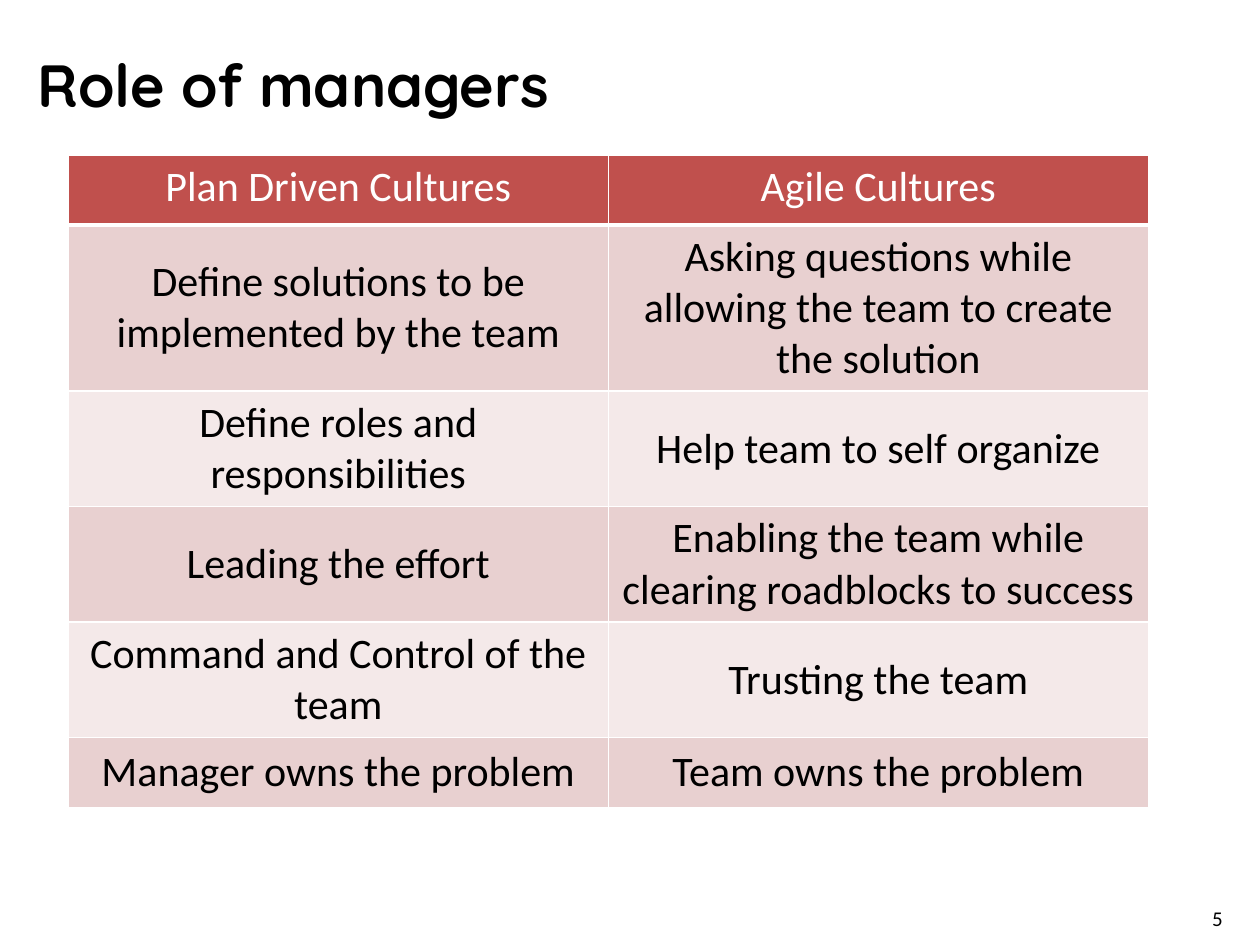
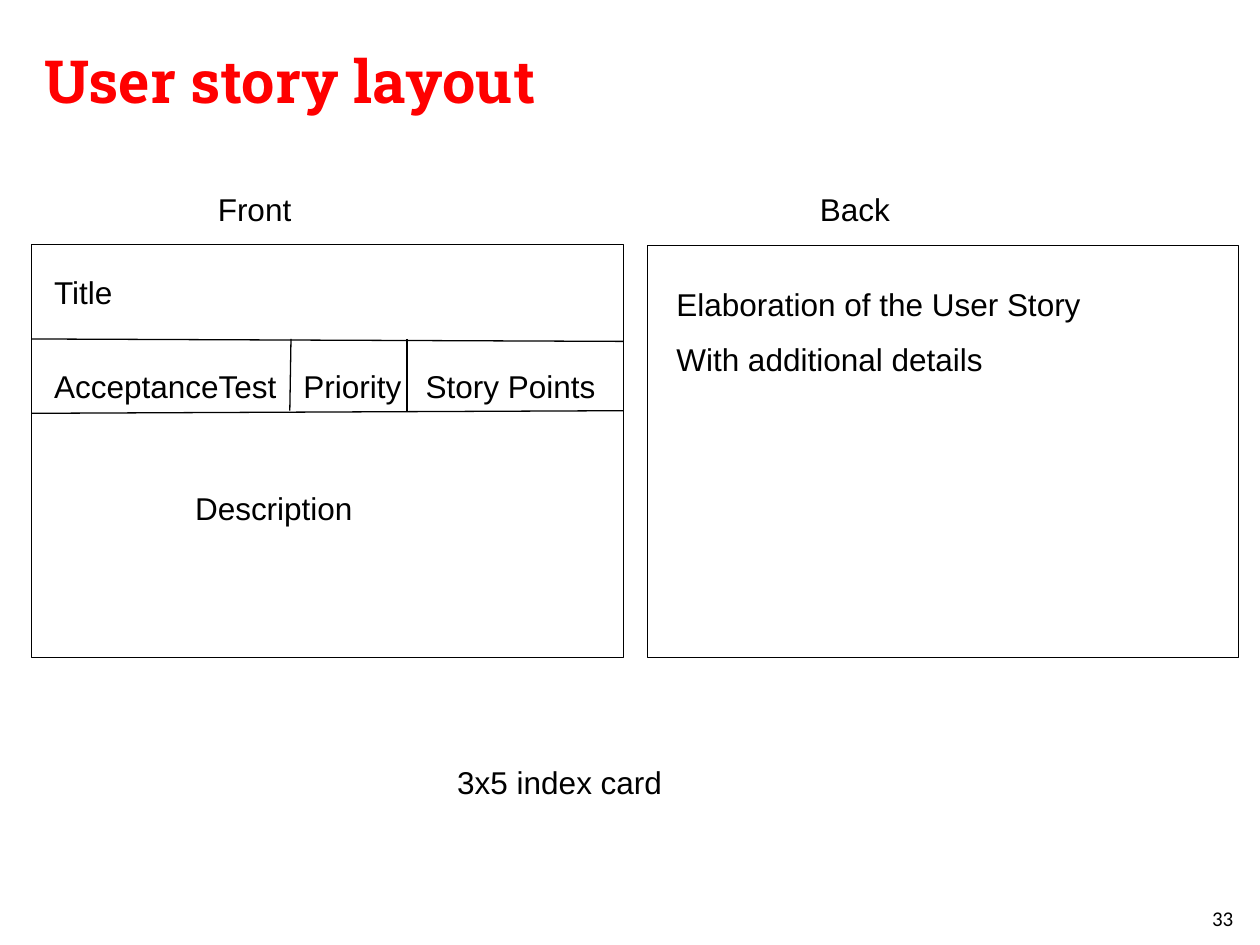
"""Build two slides: a comparison table of manager roles and a user story card."""
from lxml.etree import SubElement
from pptx import Presentation
from pptx.dml.color import RGBColor
from pptx.enum.shapes import MSO_CONNECTOR, MSO_SHAPE
from pptx.enum.text import MSO_ANCHOR, MSO_AUTO_SIZE, PP_ALIGN
from pptx.oxml.ns import qn
from pptx.util import Pt

BLACK, WHITE, RED = "000000", "FFFFFF", "FF0000"
HEADER_FILL, ODD_FILL, EVEN_FILL = "C0504D", "E8D0D0", "F4E9E9"
TITLE_ONLY = 5


def color(value):
    return RGBColor.from_string(value)


def write(frame, text, font="Arial", size=18, ink=BLACK, bold=False,
          align=PP_ALIGN.LEFT, gap=0):
    for index, line in enumerate(text.split("\n")):
        para = frame.paragraphs[0] if index == 0 else frame.add_paragraph()
        para.alignment = align
        para.space_before = Pt(gap if index else 0)
        span = para.add_run()
        span.text = line
        span.font.name = font
        span.font.size = Pt(size)
        span.font.bold = bold
        span.font.color.rgb = color(ink)


def add_border(cell, side, width):
    properties = cell._tc.get_or_add_tcPr()
    border = SubElement(properties, qn(f"a:ln{side}"), w=str(Pt(width)))
    fill = SubElement(border, qn("a:solidFill"))
    SubElement(fill, qn("a:srgbClr"), val=WHITE)


class DeckBuilder:
    def __init__(self):
        self.deck = Presentation()
        self.deck.slide_width, self.deck.slide_height = Pt(720), Pt(540)
        self.page = None

    def start_page(self, title, number, left, top, **style):
        layout = self.deck.slide_layouts[TITLE_ONLY]
        self.page = self.deck.slides.add_slide(layout)
        box = self.page.shapes.title
        box.left, box.top, box.width, box.height = Pt(left), Pt(top), Pt(624), Pt(90)
        box.text_frame.auto_size = MSO_AUTO_SIZE.NONE
        box.text_frame.vertical_anchor = MSO_ANCHOR.TOP
        write(box.text_frame, title, size=34, bold=True, **style)
        self.label(number, 685.5, 514, 29, 17.5, font="Calibri", size=12)

    def label(self, text, left, top, width, height=29, **style):
        box = self.page.shapes.add_textbox(Pt(left), Pt(top), Pt(width), Pt(height))
        box.text_frame.word_wrap = True
        write(box.text_frame, text, **style)

    def card(self, left, top, width, height):
        box = self.page.shapes.add_shape(
            MSO_SHAPE.RECTANGLE, Pt(left), Pt(top), Pt(width), Pt(height))
        box.shadow.inherit = False
        box.fill.background()
        box.line.color.rgb = color(BLACK)
        box.line.width = Pt(0.75)

    def divider(self, *ends):
        line = self.page.shapes.add_connector(
            MSO_CONNECTOR.STRAIGHT, *[Pt(value) for value in ends])
        line.line.color.rgb = color(BLACK)
        line.line.width = Pt(0.75)
        SubElement(line._element.spPr, qn("a:effectLst"))

    def table(self, rows, heights, left, top, column_width):
        columns = len(rows[0])
        table = self.page.shapes.add_table(
            len(rows), columns, Pt(left), Pt(top),
            Pt(column_width * columns), Pt(sum(heights))).table
        for column in table.columns:
            column.width = Pt(column_width)
        for index, (texts, height) in enumerate(zip(rows, heights)):
            table.rows[index].height = Pt(height)
            for cell, text in zip(table.rows[index].cells, texts):
                self.fill_cell(cell, text, index)

    def fill_cell(self, cell, text, row):
        is_header = row == 0
        for side in "LRTB":
            thick = (is_header and side == "B") or (row == 1 and side == "T")
            add_border(cell, side, 3 if thick else 1)
        cell.fill.solid()
        band = ODD_FILL if row % 2 else EVEN_FILL
        cell.fill.fore_color.rgb = color(HEADER_FILL if is_header else band)
        cell.vertical_anchor = MSO_ANCHOR.TOP if is_header else MSO_ANCHOR.MIDDLE
        write(cell.text_frame, text, font="Calibri", size=24, bold=False,
              ink=WHITE if is_header else BLACK, align=PP_ALIGN.CENTER)


def build_managers(builder):
    builder.start_page("Role of managers", "5", 14.4, 24, font="Quicksand")
    rows = [
        ("Plan Driven Cultures", "Agile Cultures"),
        ("Define solutions to be implemented by the team",
         "Asking questions while allowing the team to create the solution"),
        ("Define roles and responsibilities", "Help team to self organize"),
        ("Leading the effort",
         "Enabling the team while\nclearing roadblocks to success"),
        ("Command and Control of the team", "Trusting the team"),
        ("Manager owns the problem", "Team owns the problem"),
    ]
    builder.table(rows, [40, 95, 66, 66, 66, 40], 39, 88.5, 308.6)


def build_user_story(builder):
    builder.start_page("User story layout", "33", 18, 21.6,
                       font="Roboto Slab", ink=RED)
    left, right = 18, 356.4
    builder.card(left, 139.7, right - left, 236.2)
    builder.card(370.1, 140.4, 337.7, 235.4)
    builder.divider(left, 193.7, right, 195.1)
    builder.divider(left, 236.2, right, 234.7)
    builder.divider(166.3, 193.7, 165.6, 234.7)
    builder.divider(232.6, 193.7, 232.6, 234.7)

    builder.label("Front", 117.4, 105.1, 97)
    builder.label("Back", 440, 105.1, 97, align=PP_ALIGN.CENTER)
    builder.label("Title", 23.8, 152.6, 97)
    for text, start, width in (("AcceptanceTest", 23.8, 151),
                               ("Priority", 166.3, 75),
                               ("Story Points", 236.2, 119.5)):
        builder.label(text, start, 205.9, width)
    builder.label("Description", 104.4, 275.8, 136)
    builder.label("3x5 index card", 254.2, 432.7, 174)
    builder.label("Elaboration of the User Story\nWith additional details",
                  379.4, 159.1, 306, 62, gap=10)


def main():
    builder = DeckBuilder()
    build_managers(builder)
    build_user_story(builder)
    builder.deck.save("out.pptx")


if __name__ == "__main__":
    main()
